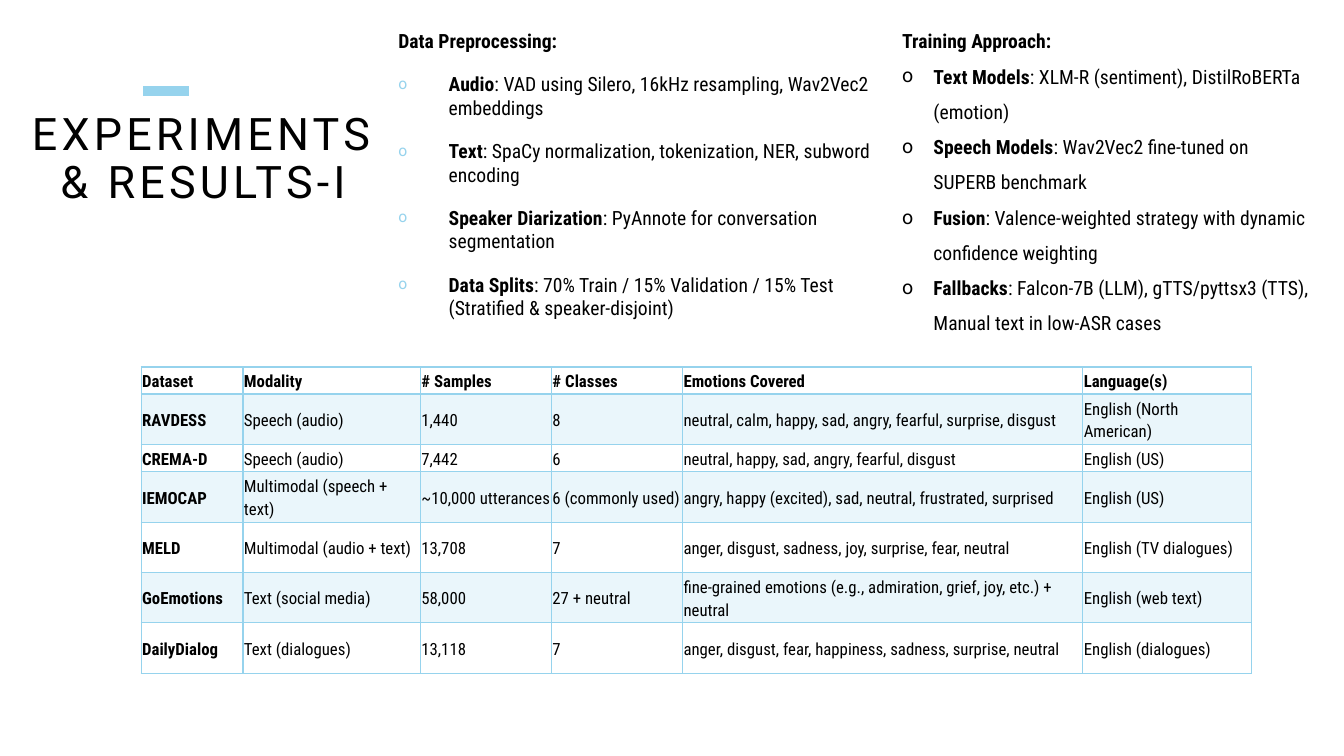
from pptx import Presentation
from pptx.dml.color import RGBColor
from pptx.enum.shapes import MSO_CONNECTOR
from pptx.enum.text import MSO_ANCHOR, MSO_AUTO_SIZE, PP_ALIGN
from pptx.oxml.ns import qn
from pptx.util import Inches, Pt
from lxml.etree import SubElement

COLORS = {"ink": "000000", "sky": "96D3ED"}
HEAD, BODY = "Roboto", "Roboto Condensed"

PREP = [
    ("Data Preprocessing:", ""),
    ("Audio", ": VAD using Silero, 16kHz resampling, Wav2Vec2 embeddings"),
    ("Text", ": SpaCy normalization, tokenization, NER, subword encoding"),
    ("Speaker Diarization", ": PyAnnote for conversation segmentation"),
    ("Data Splits", ": 70% Train / 15% Validation / 15% Test "
     "(Stratified & speaker-disjoint)"),
]
TRAIN = [
    ("Training Approach:", ""),
    ("Text Models", ": XLM-R (sentiment), DistilRoBERTa (emotion)"),
    ("Speech Models", ": Wav2Vec2 fine-tuned on SUPERB benchmark"),
    ("Fusion", ": Valence-weighted strategy with dynamic confidence weighting"),
    ("Fallbacks", ": Falcon-7B (LLM), gTTS/pyttsx3 (TTS), "
     "Manual text in low-ASR cases"),
]
DATA = [
    ("Dataset", "Modality", "# Samples", "# Classes", "Emotions Covered",
     "Language(s)"),
    ("RAVDESS", "Speech (audio)", "1,440", "8",
     "neutral, calm, happy, sad, angry, fearful, surprise, disgust",
     "English (North American)"),
    ("CREMA-D", "Speech (audio)", "7,442", "6",
     "neutral, happy, sad, angry, fearful, disgust", "English (US)"),
    ("IEMOCAP", "Multimodal (speech + text)", "~10,000 utterances",
     "6 (commonly used)",
     "angry, happy (excited), sad, neutral, frustrated, surprised",
     "English (US)"),
    ("MELD", "Multimodal (audio + text)", "13,708", "7",
     "anger, disgust, sadness, joy, surprise, fear, neutral",
     "English (TV dialogues)"),
    ("GoEmotions", "Text (social media)", "58,000", "27 + neutral",
     "fine-grained emotions (e.g., admiration, grief, joy, etc.) + neutral",
     "English (web text)"),
    ("DailyDialog", "Text (dialogues)", "13,118", "7",
     "anger, disgust, fear, happiness, sadness, surprise, neutral",
     "English (dialogues)"),
]
COLS = [1.01, 1.76, 1.3, 1.3, 3.97, 1.67]
ROWS = [0.27, 0.5, 0.27, 0.5, 0.5, 0.5, 0.5]


def apply(item, **values):
    for name, value in values.items():
        setattr(item, name, value)


def color(name):
    return RGBColor.from_string(COLORS[name])


class Deck:
    def __init__(self):
        self.prs = Presentation()
        apply(self.prs, slide_width=Inches(13.33), slide_height=Inches(7.5))
        self.slide = self.prs.slides.add_slide(self.prs.slide_layouts[1])
        self.shapes = self.slide.shapes

    def place(self, shape, *box):
        names = ("left", "top", "width", "height")
        apply(shape, **dict(zip(names, map(Inches, box))))

    def run(self, para, text, size, font=BODY, bold=False):
        run = para.add_run()
        run.text = text
        apply(run.font, size=Pt(size), name=font, bold=bold)
        run.font.color.rgb = color("ink")
        return run

    def bar(self, x, y, width, weight):
        line = self.shapes.add_connector(
            MSO_CONNECTOR.STRAIGHT, *map(Inches, (x, y, x + width, y)))
        line.line.color.rgb = color("sky")
        line.line.width = Pt(weight)
        SubElement(line._element.spPr, qn("a:effectLst"))

    def title(self, text, *box):
        shape = self.shapes.title
        self.place(shape, *box)
        frame = shape.text_frame
        apply(frame, margin_left=0, margin_top=0, margin_right=0,
              margin_bottom=0, word_wrap=True, auto_size=MSO_AUTO_SIZE.NONE,
              vertical_anchor=MSO_ANCHOR.MIDDLE)
        para = frame.paragraphs[0]
        apply(para, alignment=PP_ALIGN.CENTER, line_spacing=0.9)
        run = self.run(para, text, 32, HEAD)
        run.font._element.set("spc", "300")

    def bullet(self, para, indent, tint):
        props = para._p.get_or_add_pPr()
        props.set("marL", str(Inches(indent)))
        props.set("indent", str(-Inches(indent)))
        if not indent:
            SubElement(props, qn("a:buNone"))
            return
        if tint:
            fill = SubElement(props, qn("a:buClr"))
            SubElement(fill, qn("a:srgbClr"), val=COLORS[tint])
            SubElement(props, qn("a:buSzPct"), val="80000")
        SubElement(props, qn("a:buFont"), typeface=HEAD)
        SubElement(props, qn("a:buChar"), char="o")

    def points(self, frame, items, indent, gap=0, pitch=1.0, tint=None):
        apply(frame, word_wrap=True, vertical_anchor=MSO_ANCHOR.TOP)
        for n, (lead, rest) in enumerate(items):
            para = frame.add_paragraph() if n else frame.paragraphs[0]
            self.bullet(para, indent if n else 0, tint)
            apply(para, space_before=Pt(gap if n else 0),
                  line_spacing=pitch if n else 1.0)
            self.run(para, lead, 14, bold=True)
            if rest:
                self.run(para, rest, 14)

    def body(self, items, *box, **style):
        shape = self.slide.placeholders[1]
        self.place(shape, *box)
        shape.text_frame.auto_size = MSO_AUTO_SIZE.NONE
        self.points(shape.text_frame, items, **style)

    def box(self, items, *box, **style):
        frame = self.shapes.add_textbox(*map(Inches, box)).text_frame
        self.points(frame, items, **style)
        frame.auto_size = MSO_AUTO_SIZE.SHAPE_TO_FIT_TEXT

    def cell(self, cell, text, row, bold):
        edge = Inches(0.01)
        apply(cell, margin_left=edge, margin_right=edge, margin_top=edge,
              margin_bottom=edge, vertical_anchor=MSO_ANCHOR.MIDDLE)
        para = cell.text_frame.paragraphs[0]
        apply(para, line_spacing=1.15, space_after=Pt(10))
        self.run(para, text, 12, bold=bold)
        # Borders, heavier under the header
        props = cell._tc.get_or_add_tcPr()
        for side in "LRTB":
            heavy = (row, side) in ((0, "B"), (1, "T"))
            line = SubElement(props, qn(f"a:ln{side}"),
                              w=str(Pt(2 if heavy else 1)))
            fill = SubElement(line, qn("a:solidFill"))
            SubElement(fill, qn("a:srgbClr"), val=COLORS["sky"])
        # Pale fill on every odd row
        if row % 2:
            cell.fill.solid()
            cell.fill.fore_color.rgb = color("sky")
            tint = props.find(qn("a:solidFill")).find(qn("a:srgbClr"))
            SubElement(tint, qn("a:alpha"), val="20000")
        else:
            cell.fill.background()

    def table(self, data, x, y, cols, rows):
        grid = self.shapes.add_table(
            len(rows), len(cols),
            *map(Inches, (x, y, sum(cols), sum(rows)))).table
        apply(grid, first_row=False, horz_banding=False)
        for col, width in zip(grid.columns, cols):
            col.width = Inches(width)
        for r, (row, height) in enumerate(zip(grid.rows, rows)):
            row.height = Inches(height)
            for c, text in enumerate(data[r]):
                self.cell(grid.cell(r, c), text, r, bold=r == 0 or c == 0)


def main():
    deck = Deck()
    # Heading
    deck.bar(1.42, 0.9, 0.45, 7)
    deck.title("EXPERIMENTS & RESULTS-I", 0.18, 1.07, 3.67, 1.03)
    # Method lists
    deck.body(PREP, 3.85, 0.24, 5, 3.06, indent=0.5, gap=14, tint="sky")
    deck.box(TRAIN, 8.85, 0.24, 4.24, 3.47, indent=0.31, pitch=1.5)
    # Dataset table
    deck.table(DATA, 1.4, 3.64, COLS, ROWS)
    deck.prs.save("out.pptx")


if __name__ == "__main__":
    main()
